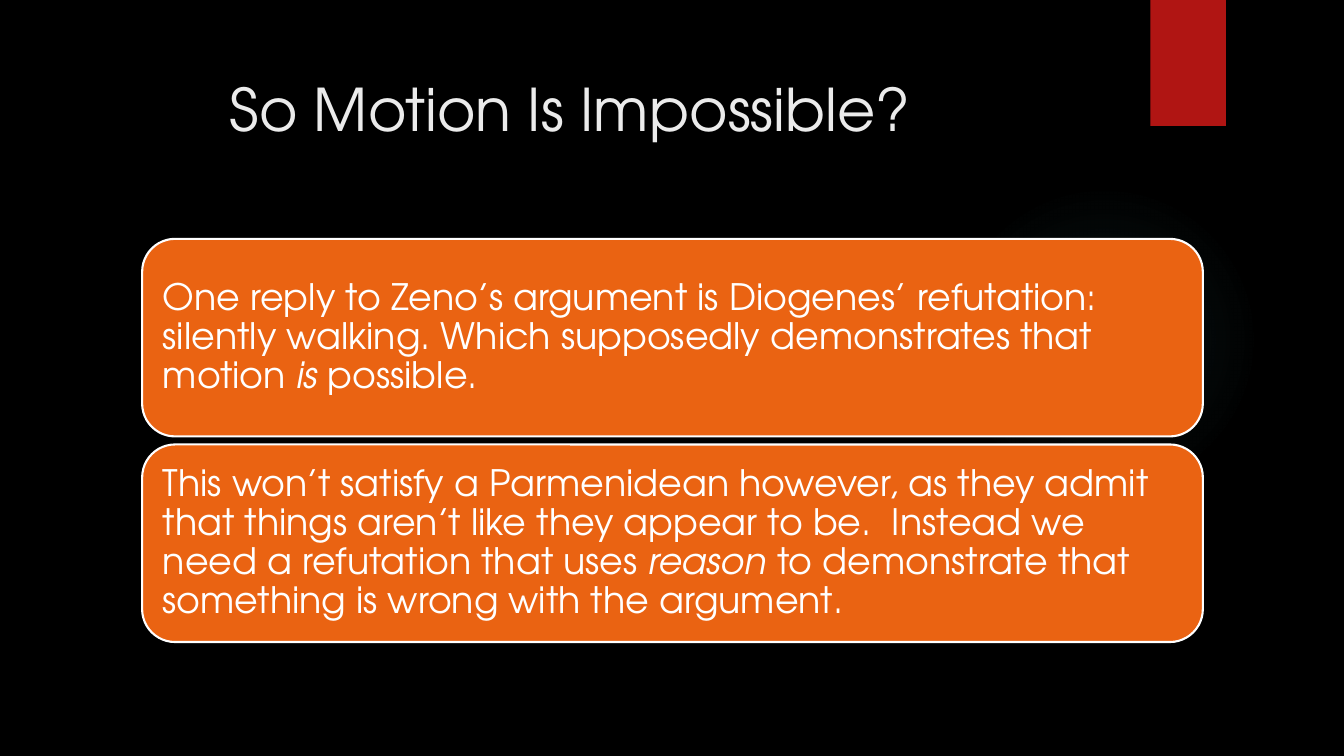
"""Build the slide "So Motion Is Impossible?" with two argument cards."""
from dataclasses import dataclass

from lxml.etree import SubElement
from pptx import Presentation
from pptx.dml.color import RGBColor
from pptx.enum.shapes import MSO_SHAPE as SHAPE
from pptx.enum.text import MSO_ANCHOR as ANCHOR, MSO_AUTO_SIZE as AUTO, PP_ALIGN as ALIGN
from pptx.oxml.ns import qn
from pptx.shapes.autoshape import Shape
from pptx.slide import Slide
from pptx.util import Inches, Pt

BLACK = RGBColor(0x00, 0x00, 0x00)
WHITE = RGBColor(0xFF, 0xFF, 0xFF)
OFF_WHITE = RGBColor(0xEB, 0xEB, 0xEB)
RED = RGBColor(0xB0, 0x15, 0x13)
ORANGE = RGBColor(0xEA, 0x63, 0x12)
TEAL = RGBColor(0x50, 0xB9, 0xC1)
FONT = "TeX Gyre Adventor"
CARD_TOP, CARD_PITCH = 2.37, 2.04
GLOW_STOPS = ((0, 7), (36, 6), (69, 0))


@dataclass(frozen=True)
class Card:
    before: str
    emphasis: str
    after: str


CARDS = (
    Card("One reply to Zeno’s argument is Diogenes’ refutation: silently walking. "
         "Which supposedly demonstrates that motion ", "is ", "possible."),
    Card("This won’t satisfy a Parmenidean however, as they admit that things aren’t "
         "like they appear to be.  Instead we need a refutation that uses ", "reason",
         " to demonstrate that something is wrong with the argument."),
)


def set_attrs(target: object, values: dict[str, object]) -> None:
    """Set each named attribute of the target."""
    for name, value in values.items():
        setattr(target, name, value)


def add_run(p, text: str, size: float, color: RGBColor, italic: bool = False) -> None:
    """Append a formatted run to a paragraph."""
    r = p.add_run()
    r.text = text
    set_attrs(r.font, {"name": FONT, "size": Pt(size), "italic": italic})
    r.font.color.rgb = color


def add_block(s: Slide, kind: SHAPE, box: tuple[float, ...], color: RGBColor) -> Shape:
    """Add a flat filled shape without outline or shadow."""
    sp = s.shapes.add_shape(kind, *map(Inches, box))
    sp.shadow.inherit = False
    sp.fill.solid()
    sp.fill.fore_color.rgb = color
    sp.line.fill.background()
    return sp


def add_glow(s: Slide) -> None:
    """Add the faint circular glow."""
    sp = add_block(s, SHAPE.OVAL, (9.41, 1.83, 3.08, 3.08), TEAL)
    solid = sp.fill._xPr.find(qn("a:solidFill"))
    grad = solid.makeelement(qn("a:gradFill"), {"rotWithShape": "1"})
    stops = SubElement(grad, qn("a:gsLst"))
    for pos, alpha in GLOW_STOPS:
        stop = SubElement(stops, qn("a:gs"), pos=str(pos * 1000))
        color = SubElement(stop, qn("a:srgbClr"), val=str(TEAL))
        SubElement(color, qn("a:alpha"), val=str(alpha * 1000))
    circle = SubElement(grad, qn("a:path"), {"path": "circle"})
    SubElement(circle, qn("a:fillToRect"), dict.fromkeys("ltrb", "50000"))
    solid.getparent().replace(solid, grad)


def add_title(s: Slide, text: str) -> None:
    """Place and format the title placeholder."""
    sp = s.shapes.title
    set_attrs(sp, {"left": Inches(2.18), "top": Inches(0.67),
                   "width": Inches(11.15), "height": Inches(1.2)})
    tf = sp.text_frame
    set_attrs(tf, {"vertical_anchor": ANCHOR.TOP, "word_wrap": True, "auto_size": AUTO.NONE})
    p = tf.paragraphs[0]
    set_attrs(p, {"alignment": ALIGN.LEFT, "line_spacing": 1.0})
    add_run(p, text, 42, OFF_WHITE)


def add_card(s: Slide, card: Card, top: float) -> None:
    """Add a rounded card holding its paragraph."""
    sp = add_block(s, SHAPE.ROUNDED_RECTANGLE, (1.41, top, 10.52, 1.96), ORANGE)
    sp.line.color.rgb = WHITE
    sp.line.width = Pt(1.5)
    tf = sp.text_frame
    margins = ("margin_left", "margin_top", "margin_right", "margin_bottom")
    set_attrs(tf, dict.fromkeys(margins, Inches(0.11)))
    set_attrs(tf, {"vertical_anchor": ANCHOR.MIDDLE, "word_wrap": True})
    p = tf.paragraphs[0]
    set_attrs(p, {"alignment": ALIGN.LEFT, "line_spacing": 0.9})
    add_run(p, card.before, 26, WHITE)
    add_run(p, card.emphasis, 26, WHITE, italic=True)
    add_run(p, card.after, 26, WHITE)


def main() -> None:
    """Build and save the presentation."""
    prs = Presentation()
    set_attrs(prs, {"slide_width": Inches(13.33), "slide_height": Inches(7.5)})
    s = prs.slides.add_slide(prs.slide_layouts[5])
    s.background.fill.solid()
    s.background.fill.fore_color.rgb = BLACK
    add_glow(s)
    add_block(s, SHAPE.RECTANGLE, (11.41, 0, 0.75, 1.25), RED)
    add_title(s, "So Motion Is Impossible?")
    for i, card in enumerate(CARDS):
        add_card(s, card, CARD_TOP + i * CARD_PITCH)
    prs.save("out.pptx")


if __name__ == "__main__":
    main()
